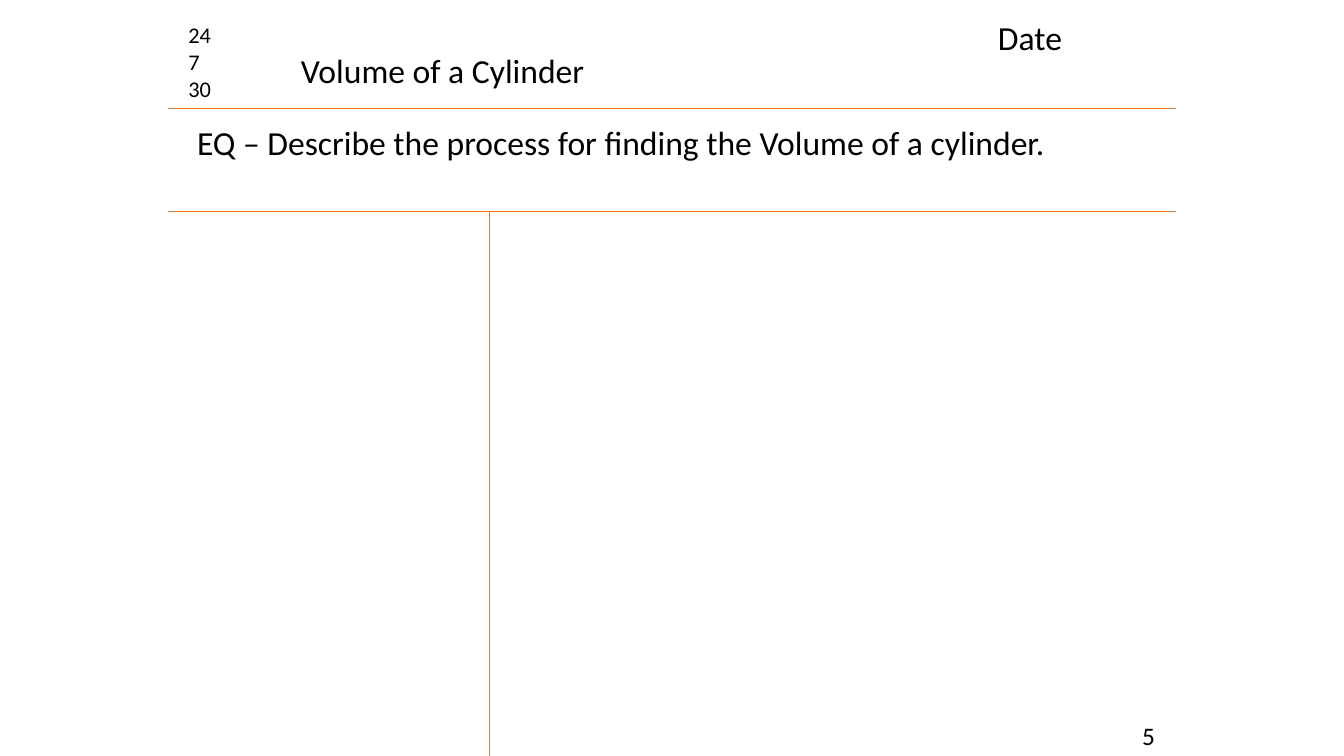
from lxml.etree import SubElement
from pptx import Presentation
from pptx.dml.color import RGBColor
from pptx.enum.shapes import MSO_CONNECTOR
from pptx.enum.text import MSO_ANCHOR, PP_ALIGN
from pptx.oxml.ns import qn
from pptx.util import Pt

FONT = "Calibri"
BLACK, ORANGE = "000000", "ED7D31"


def color(value):
    """Turn a hex string into a colour."""
    return RGBColor.from_string(value)


def add_text(slide, text, left, top, width, height, size=24, wrap=True, shape=None):
    """Place text in a new box or in the given placeholder."""
    if shape is None:
        shape = slide.shapes.add_textbox(0, 0, 0, 0)
    shape.left, shape.top = Pt(left), Pt(top)
    shape.width, shape.height = Pt(width), Pt(height)
    frame = shape.text_frame
    frame.text = text
    frame.word_wrap = wrap
    frame.vertical_anchor = MSO_ANCHOR.TOP
    frame.margin_left = frame.margin_right = Pt(7.2)
    frame.margin_top = frame.margin_bottom = Pt(3.6)
    for paragraph in frame.paragraphs:
        paragraph.alignment = PP_ALIGN.LEFT
        paragraph.line_spacing = 1.0
        paragraph.space_before = Pt(0)
        paragraph.font.name = FONT
        paragraph.font.size = Pt(size)
        paragraph.font.color.rgb = color(BLACK)
    return shape


def add_rule(slide, start, end):
    """Draw a thin straight rule between two points."""
    rule = slide.shapes.add_connector(
        MSO_CONNECTOR.STRAIGHT, *(Pt(value) for value in (*start, *end))
    )
    rule.line.color.rgb = color(ORANGE)
    rule.line.width = Pt(0.5)
    SubElement(rule._element.spPr, qn("a:effectLst"))


def add_header(slide, left, top, width, height):
    """Build the header with page numbers, title and date."""
    bottom = top + height
    add_rule(slide, (left, bottom), (left + width, bottom))
    add_text(slide, "24\n7\n30", left + 7.5, top + 11.5, 45, 65.5, size=16)
    add_text(slide, "Volume of a Cylinder", left + 87.7, top + 32, 219, 36,
             wrap=False, shape=slide.shapes.title)
    add_text(slide, "Date", left + 585.8, top + 8.5, 124.5, 36)


def add_question(slide, left, top, width, height):
    """Build the essential question band."""
    bottom = top + height
    add_rule(slide, (left, bottom), (left + width, bottom))
    add_text(slide, "EQ – Describe the process for finding the Volume of a cylinder.",
             left + 13.7, top + 6.2, 668, 36)


def add_notes_area(slide, left, top, width, height):
    """Build the two empty note columns and the page number."""
    divider = left + 229.7
    add_rule(slide, (divider, top), (divider, top + height))
    add_text(slide, "5", left + width - 31.2, top + height - 29, 43, 29, size=18)


def main():
    """Build and save the note page."""
    presentation = Presentation()
    presentation.slide_width, presentation.slide_height = Pt(960), Pt(540)
    slide = presentation.slides.add_slide(presentation.slide_layouts[5])
    left, width = 120, 720
    header_bottom, question_bottom = 77.3, 151
    add_header(slide, left, 0, width, header_bottom)
    add_question(slide, left, header_bottom, width, question_bottom - header_bottom)
    add_notes_area(slide, left, question_bottom, width, 540 - question_bottom)
    presentation.save("out.pptx")


if __name__ == "__main__":
    main()
